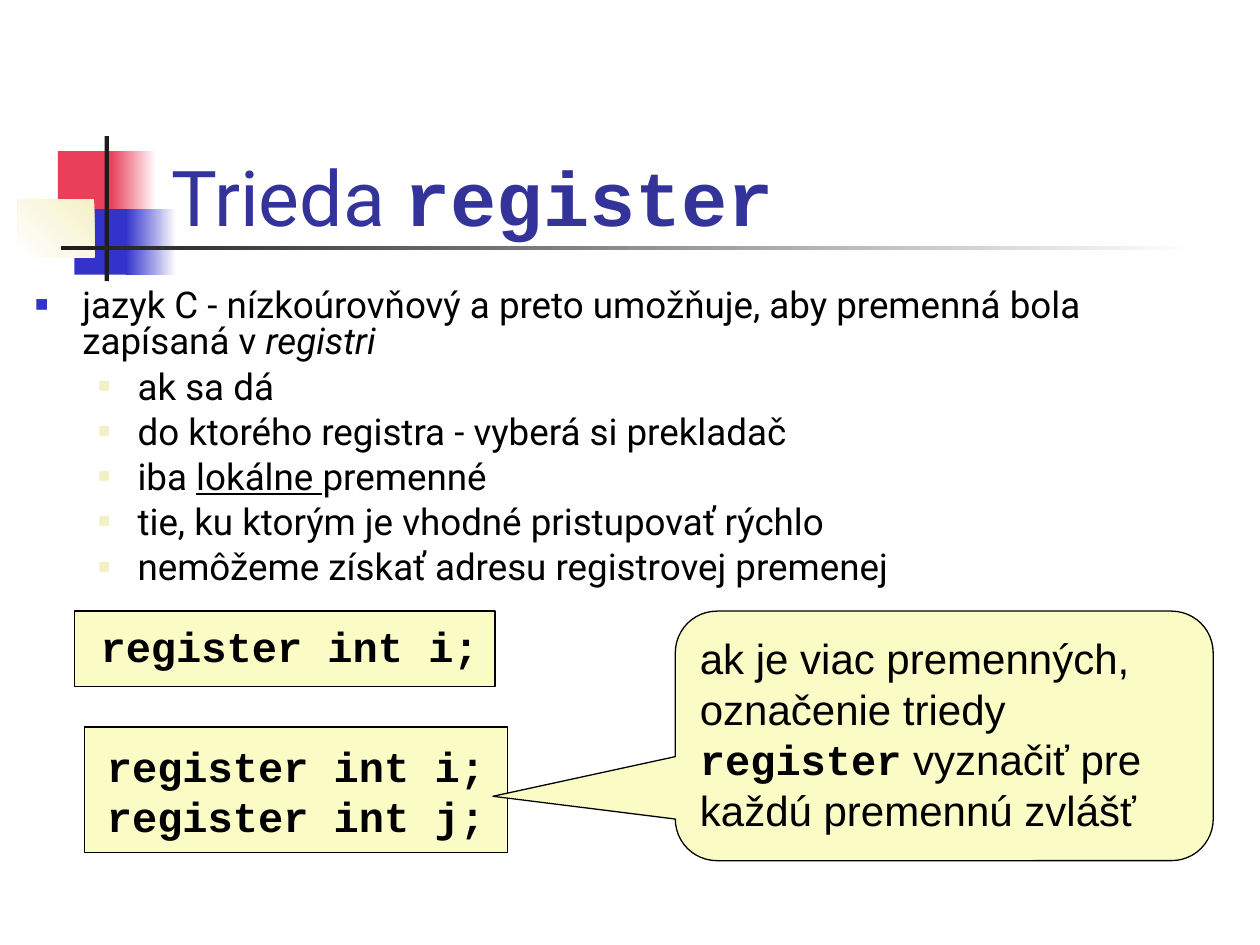
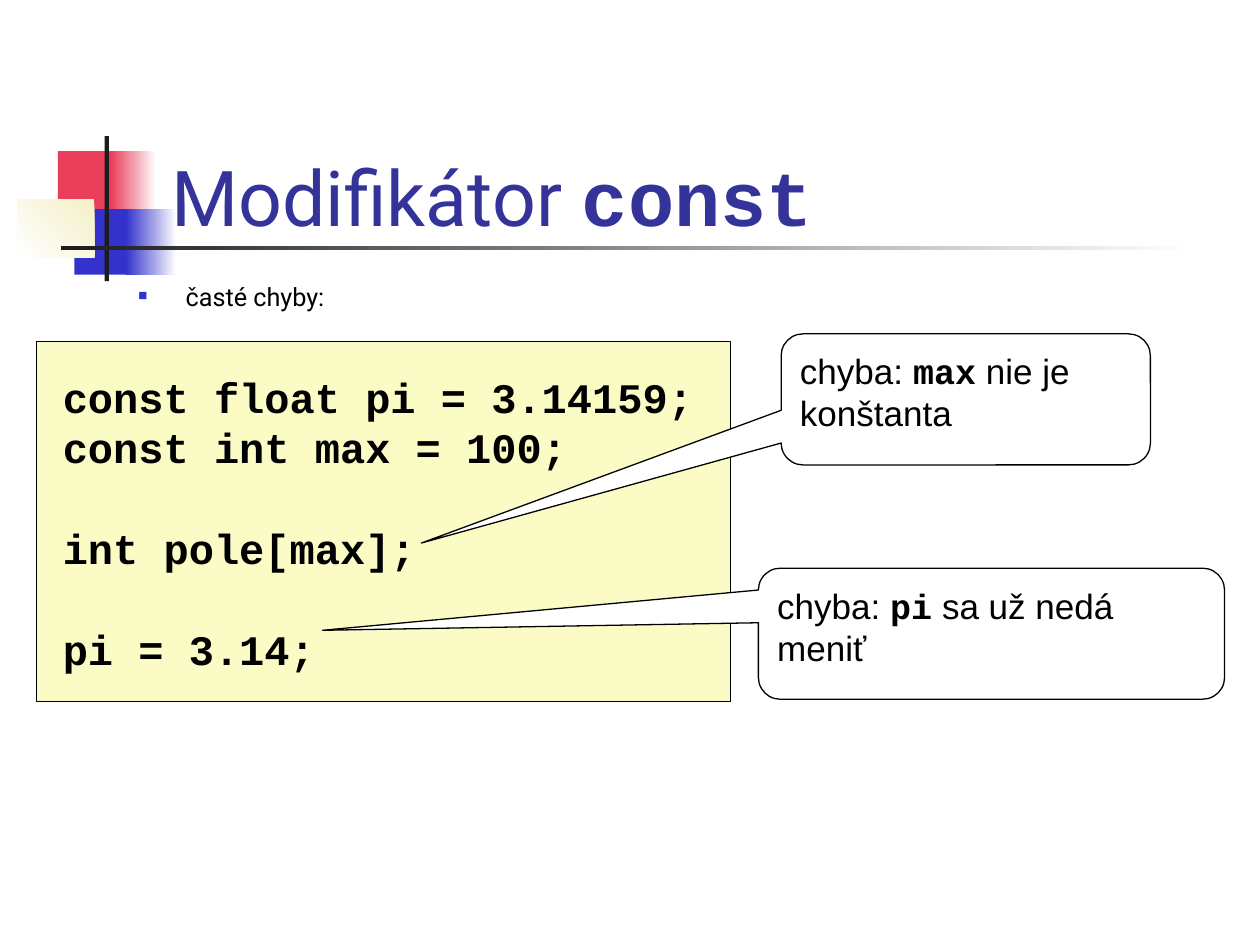
from dataclasses import dataclass

from lxml.etree import SubElement
from pptx import Presentation
from pptx.dml.color import RGBColor as Rgb
from pptx.enum.shapes import MSO_SHAPE as Shape
from pptx.enum.text import MSO_ANCHOR as Anchor, PP_ALIGN as Align
from pptx.oxml.ns import qn
from pptx.util import Pt


@dataclass(frozen=True)
class Theme:
    # Colours
    title: str = "333399"
    ink: str = "000000"
    white: str = "FFFFFF"
    note: str = "FBFBC5"
    red: str = "E93F5B"
    blue: str = "3333CC"
    cream: str = "F4F0C6"
    dark: str = "1C1C1C"
    # Fonts and type sizes
    head: str = "Roboto"
    sans: str = "Arial"
    mono: str = "Courier New"
    big: float = 44
    code: float = 24
    small: float = 20
    lead: float = 1.2


T = Theme()
MONO = {"name": T.mono, "bold": True}

# Bullet levels: margin, hanging indent, colour, size in percent
LEVELS = [(27, 27, T.blue, 60), (58.5, 22.5, T.cream, 55)]

# Title ornament: box, colour, gradient angle (None is solid), reversed
DECOR = [
    ((33.1, 86.4, 34.6, 37.4), T.red, None),
    ((63.4, 86.4, 25.9, 37.4), T.red, 180),
    ((42.5, 119.5, 33.1, 37.4), T.blue, None),
    ((72, 119.5, 28.8, 37.4), T.blue, 180),
    ((10.1, 113.8, 43.9, 33.1), T.cream, 45),
    ((59.8, 77.8, 2.4, 82.8), T.dark, None),
    ((34.6, 140.4, 648, 2.4), T.dark, 180),
]


class Deck:
    def __init__(self):
        self.prs = Presentation()
        self.prs.slide_width, self.prs.slide_height = Pt(720), Pt(540)
        self.slide = None

    def page(self, *runs):
        """Start a slide with the ornament and a title."""
        self.slide = self.prs.slides.add_slide(self.prs.slide_layouts[6])
        for box, color, angle in DECOR:
            self.block(box, color, angle=angle)
        frame = self.text((90.7, 48.2, 613.4, 90), vertical_anchor=Anchor.BOTTOM,
                          margin_bottom=0)
        self.fill(frame.paragraphs[0], runs, T.head, T.big, T.title)

    def block(self, box, color, line=None, angle=None, kind=Shape.RECTANGLE):
        shape = self.slide.shapes.add_shape(kind, *map(Pt, box))
        shape.shadow.inherit = False
        if angle is None:
            shape.fill.solid()
            shape.fill.fore_color.rgb = Rgb.from_string(color)
        else:
            shape.fill.gradient()
            shape.fill.gradient_angle = angle
            for stop, tone in zip(shape.fill.gradient_stops, (T.white, color)):
                stop.color.rgb = Rgb.from_string(tone)
        if line:
            shape.line.color.rgb = Rgb.from_string(line)
            shape.line.width = Pt(0.75)
        else:
            shape.line.fill.background()
        return shape

    def text(self, box, **form):
        frame = self.slide.shapes.add_textbox(*map(Pt, box)).text_frame
        return self.form(frame, form)

    def form(self, frame, form):
        base = {"word_wrap": True, "vertical_anchor": Anchor.TOP}
        for key, value in (base | form).items():
            setattr(frame, key, value)
        return frame

    def fill(self, para, runs, name, size, color=T.ink, **form):
        """Write runs, each a string or a (string, font values) pair."""
        para.alignment = Align.LEFT
        for key, value in form.items():
            setattr(para, key, value)
        for item in runs:
            words, extra = (item, {}) if isinstance(item, str) else item
            run = para.add_run()
            run.text = words
            for key, value in ({"name": name, "size": Pt(size)} | extra).items():
                setattr(run.font, key, value)
            run.font.color.rgb = Rgb.from_string(color)

    def bullets(self, box, rows, size, lead, gap):
        """Write (level, runs) rows with square bullets."""
        frame = self.text(box)
        for i, (level, runs) in enumerate(rows):
            para = frame.add_paragraph() if i else frame.paragraphs[0]
            left, hang, color, share = LEVELS[level]
            props = para._p.get_or_add_pPr()
            props.set("marL", str(Pt(left)))
            props.set("indent", str(-Pt(hang)))
            tint = SubElement(props, qn("a:buClr"))
            SubElement(tint, qn("a:srgbClr"), val=color)
            SubElement(props, qn("a:buSzPct"), val=str(share * 1000))
            SubElement(props, qn("a:buFont"), typeface=T.sans)
            SubElement(props, qn("a:buChar"), char="■")
            self.fill(para, runs, T.head, size, level=level, line_spacing=lead,
                      space_before=Pt(gap if i else 0))

    def code(self, panel, box, lines):
        """Draw a panel with code; an empty line becomes paragraph spacing."""
        self.block(panel, T.note, T.ink)
        frame = self.text(box, word_wrap=False, margin_top=Pt(7))
        pitch, gap, para = T.code * T.lead, 0, None
        for line in lines:
            if not line:
                gap += pitch
                continue
            para = frame.add_paragraph() if para else frame.paragraphs[0]
            self.fill(para, [(line, MONO)], T.mono, T.code,
                      line_spacing=Pt(pitch), space_before=Pt(gap))
            gap = 0

    def callout(self, box, tip, color, size, runs):
        shape = self.block(box, color, T.ink, kind=Shape.ROUNDED_RECTANGULAR_CALLOUT)
        for i, value in enumerate((*tip, 0.167)):
            shape.adjustments[i] = value
        frame = self.form(shape.text_frame, {"margin_top": Pt(5.5)})
        self.fill(frame.paragraphs[0], runs, T.sans, size,
                  line_spacing=Pt(size * T.lead))


def main():
    deck = Deck()

    # Register class
    deck.page("Trieda ", ("register", MONO))
    deck.bullets((13, 162, 691.9, 185.8), [
        (0, ["jazyk C - nízkoúrovňový a preto umožňuje, aby premenná bola zapísaná v ",
             ("registri", {"italic": True})]),
        (1, ["ak sa dá"]),
        (1, ["do ktorého registra - vyberá si prekladač"]),
        (1, ["iba ", ("lokálne ", {"underline": True}), "premenné"]),
        (1, ["tie, ku ktorým je vhodné pristupovať rýchlo"]),
        (1, ["nemôžeme získať adresu registrovej premenej"]),
    ], 21, 0.82, 5.2)
    deck.code((42.5, 349.2, 240.5, 43.2), (50.4, 347.8, 230.4, 36),
              ["register int i;"])
    deck.code((48.2, 415.4, 241.9, 72), (54, 416.2, 230.4, 64.8),
              ["register int i;", "register int j;"])
    deck.callout((385.9, 349.2, 307.4, 142.6), (-0.839, 0.242), T.note, T.code,
                 ["ak je viac premenných, označenie triedy ", ("register", MONO),
                  " vyznačiť pre každú premennú zvlášť"])

    # Const modifier
    deck.page("Modifikátor ", ("const", MONO))
    deck.code((20.9, 195.1, 396.7, 205.9), (28.8, 205.2, 374.4, 180), [
        "const float pi = 3.14159;",
        "const int max = 100;",
        "",
        "int pole[max];",
        "",
        "pi = 3.14;",
    ])
    deck.bullets((72, 162, 691.9, 20.2), [(0, ["časté chyby:"])], 14.4, 0.7, 5.8)
    deck.callout((433.4, 324.7, 266.4, 74.9), (-1.435, -0.026), T.white, T.small,
                 ["chyba: ", ("pi", MONO), " sa už nedá meniť"])
    deck.callout((446.4, 190.8, 211, 74.9), (-1.474, 1.096), T.white, T.small,
                 ["chyba: ", ("max", MONO), " nie je konštanta"])

    # The cream square fades the other way round
    for slide in deck.prs.slides:
        stops = slide.shapes[4].fill.gradient_stops
        for stop, tone in zip(stops, (T.cream, T.white)):
            stop.color.rgb = Rgb.from_string(tone)
        slide.shapes[4].fill.gradient_angle = 225

    deck.prs.save("out.pptx")


if __name__ == "__main__":
    main()
